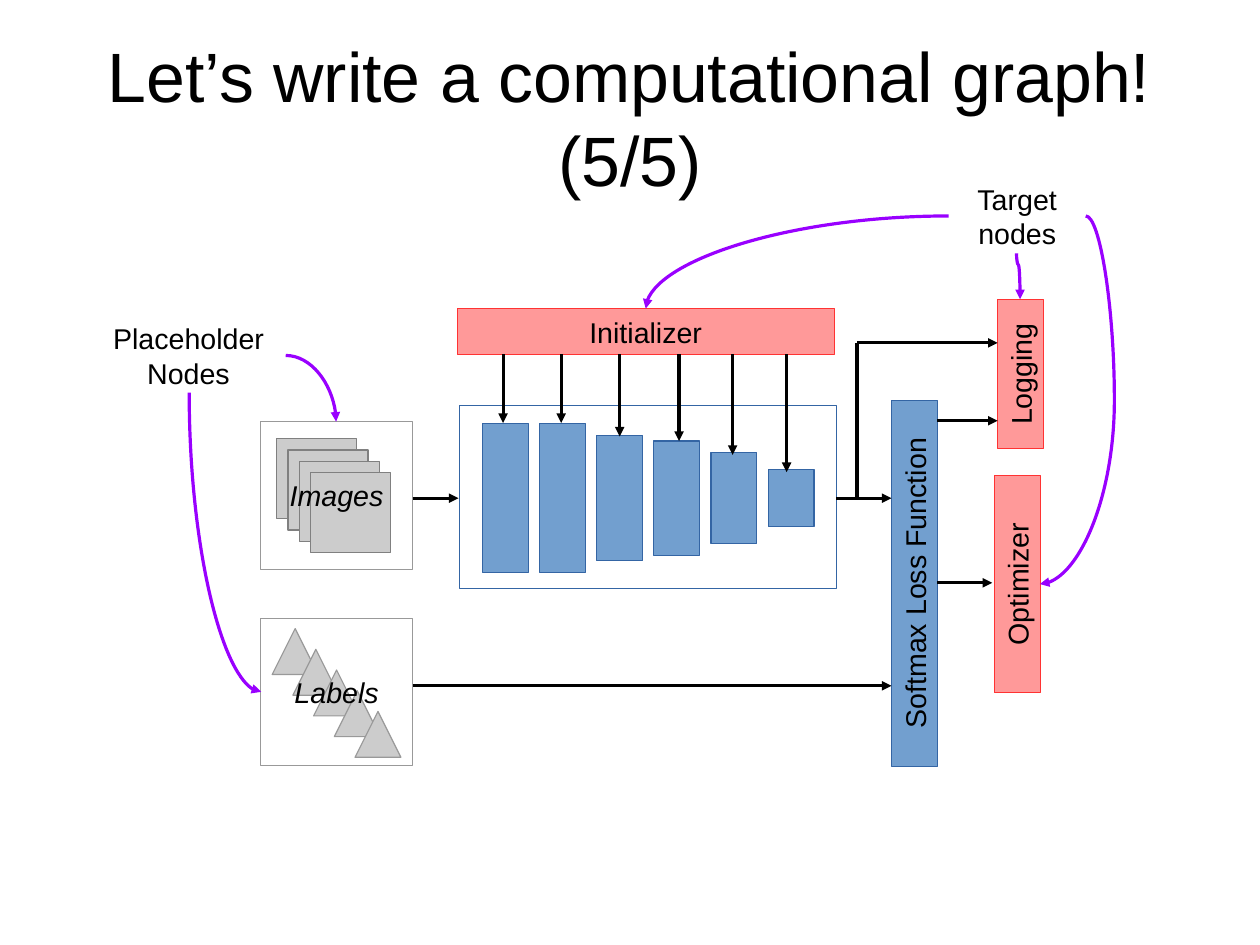
from lxml.etree import SubElement
from pptx import Presentation
from pptx.dml.color import RGBColor
from pptx.enum.shapes import MSO_CONNECTOR, MSO_SHAPE
from pptx.enum.text import MSO_ANCHOR, PP_ALIGN
from pptx.oxml.ns import qn
from pptx.util import Cm, Pt

BLACK = RGBColor(0x00, 0x00, 0x00)
BLUE = RGBColor(0x72, 0x9F, 0xCF)
BLUE_LINE = RGBColor(0x34, 0x65, 0xA4)
RED = RGBColor(0xFF, 0x99, 0x99)
RED_LINE = RGBColor(0xFF, 0x33, 0x33)
GREY = RGBColor(0xCC, 0xCC, 0xCC)
MID_GREY = RGBColor(0x99, 0x99, 0x99)
DARK_GREY = RGBColor(0x80, 0x80, 0x80)
PURPLE = RGBColor(0x99, 0x00, 0xFF)

THICK = 1.02    # short side of the bars and node boxes
MIDDLE = 11.07  # height of the network's axis

prs = Presentation()
prs.slide_width, prs.slide_height = Cm(28), Cm(21)
s = prs.slides.add_slide(prs.slide_layouts[6])


def add_box(x, y, w, h, fill, line, text="", rotation=0, italic=False,
            kind=MSO_SHAPE.RECTANGLE):
    sp = s.shapes.add_shape(kind, Cm(x), Cm(y), Cm(w), Cm(h))
    sp.shadow.inherit = False
    sp.rotation = rotation
    if fill is None:
        sp.fill.background()
    else:
        sp.fill.solid()
        sp.fill.fore_color.rgb = fill
    sp.line.color.rgb = line
    sp.line.width = 0
    if text:
        tf = sp.text_frame
        tf.word_wrap = False
        tf.vertical_anchor = MSO_ANCHOR.MIDDLE
        p = tf.paragraphs[0]
        p.alignment = PP_ALIGN.CENTER
        r = p.add_run()
        r.text = text
        r.font.name, r.font.size, r.font.italic = "Arial", Pt(18), italic
        r.font.color.rgb = BLACK


def style_connector(c, color, arrow=True):
    """Give a connector a hairline, an optional arrowhead and no shadow."""
    c.line.color.rgb = color
    c.line.width = 0
    if arrow:
        SubElement(c.line._get_or_add_ln(), qn("a:tailEnd"), type="triangle")
    SubElement(c._element.spPr, qn("a:effectLst"))


# Title and captions
for text, size, x, y, w, h, inset in [
    ("Let’s write a computational graph! (5/5)", 44, 1.4, 0.84, 25.2, 3.51, 0),
    ("Target nodes", 18, 21.08, 3.96, 3.05, 1.68, 0.25),
    ("Placeholder Nodes", 18, 2.03, 7.06, 4.32, 1.68, 0.25),
]:
    tf = s.shapes.add_textbox(Cm(x), Cm(y), Cm(w), Cm(h)).text_frame
    tf.word_wrap = True
    tf.vertical_anchor = MSO_ANCHOR.MIDDLE
    tf.margin_left = tf.margin_right = Cm(inset)
    tf.margin_top = tf.margin_bottom = Cm(inset / 2)
    p = tf.paragraphs[0]
    p.alignment = PP_ALIGN.CENTER
    r = p.add_run()
    r.text = text
    r.font.name, r.font.size = "Arial", Pt(size)
    r.font.color.rgb = BLACK

# Placeholders: stacked labels and images
for i in range(5):
    add_box(6.05 + 0.46 * i, 13.97 + 0.46 * i, THICK, THICK, GREY, MID_GREY,
            kind=MSO_SHAPE.ISOSCELES_TRIANGLE)
for i in range(4):
    add_box(6.15 + 0.25 * i, 9.75 + 0.25 * i, 1.78, 1.78, GREY, DARK_GREY)
add_box(5.79, 9.37, 3.38, 3.28, None, MID_GREY, "Images", italic=True)
add_box(5.79, 13.74, 3.38, 3.28, None, MID_GREY, "Labels", italic=True)

# Network layers, centred on one axis
for i, height in enumerate([3.3, 3.3, 2.79, 2.54, 2.03, 1.27]):
    add_box(10.72 + 1.27 * i, MIDDLE - height / 2, THICK, height, BLUE, BLUE_LINE)
add_box(10.21, 9.02, 8.38, 4.06, None, BLUE_LINE)

# Operation nodes
add_box(10.16, 6.86, 8.38, THICK, RED, RED_LINE, "Initializer")
for text, x, y, length, fill, line in [
    ("Softmax Loss Function", 16.26, 12.45, 8.13, BLUE, BLUE_LINE),
    ("Optimizer", 20.19, 12.47, 4.83, RED, RED_LINE),
    ("Logging", 21.03, 7.8, 3.3, RED, RED_LINE),
]:
    add_box(x, y, length, THICK, fill, line, text, rotation=270)

# Straight arrows: data flow, then initializer to each layer
flows = [
    (9.17, MIDDLE, 10.19, MIDDLE),
    (9.17, 15.24, 19.81, 15.24),
    (18.59, MIDDLE, 19.81, MIDDLE),
    (20.83, 12.95, 22.05, 12.95),
    (20.83, 9.35, 22.17, 9.35),
    (19.05, 7.62, 22.17, 7.62),
]
layer_arrows = [(11.18, 9.4), (12.47, 9.4), (13.77, 9.7),
                (15.09, 9.8), (16.28, 10.11), (17.48, 10.49)]
for x1, y1, x2, y2 in flows + [(x, 7.87, x, end) for x, end in layer_arrows]:
    c = s.shapes.add_connector(MSO_CONNECTOR.STRAIGHT,
                               Cm(x1), Cm(y1), Cm(x2), Cm(y2))
    style_connector(c, BLACK)

# Bent and curved links: preset, frame, rotation, flip, adjustment
for preset, x, y, w, h, rotation, flip, adj in [
    ("bentConnector2", 17.09, 9.12, 3.45, 0.46, 90, None, None),
    ("curvedConnector2", 14.35, 4.8, 6.73, 2.06, 180, "flipV", None),
    ("curvedConnector3", 22.12, 6.1, 1.02, 0.08, 270, "flipH", 25000),
    ("curvedConnector3", 23.11, 4.8, 1.02, 8.18, 0, "flipH", -62400),
    ("curvedConnector2", 6.35, 7.9, 1.12, 1.47, 0, None, None),
    ("curvedConnector2", 1.68, 11.25, 6.65, 1.6, 270, "flipH", None),
]:
    curved = preset.startswith("curved")
    c = s.shapes.add_connector(MSO_CONNECTOR.CURVE if curved else MSO_CONNECTOR.ELBOW,
                               Cm(x), Cm(y), Cm(x + w), Cm(y + h))
    xfrm = c._element.spPr.find(qn("a:xfrm"))
    xfrm.set("rot", str(rotation * 60000))
    if flip:
        xfrm.set(flip, "1")
    geom = c._element.spPr.find(qn("a:prstGeom"))
    geom.set("prst", preset)
    if adj is not None:
        SubElement(geom.find(qn("a:avLst")), qn("a:gd"), name="adj1", fmla=f"val {adj}")
    style_connector(c, PURPLE if curved else BLACK, arrow=curved)

prs.save("out.pptx")
